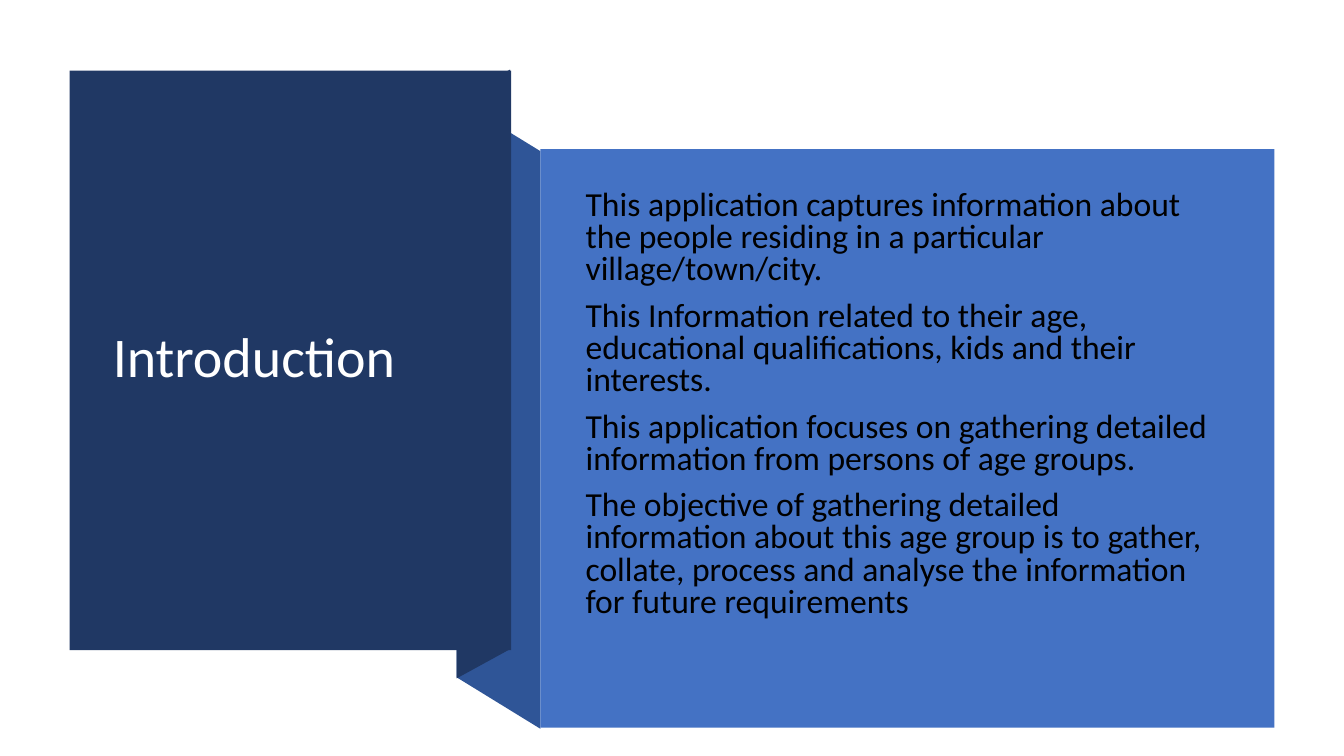
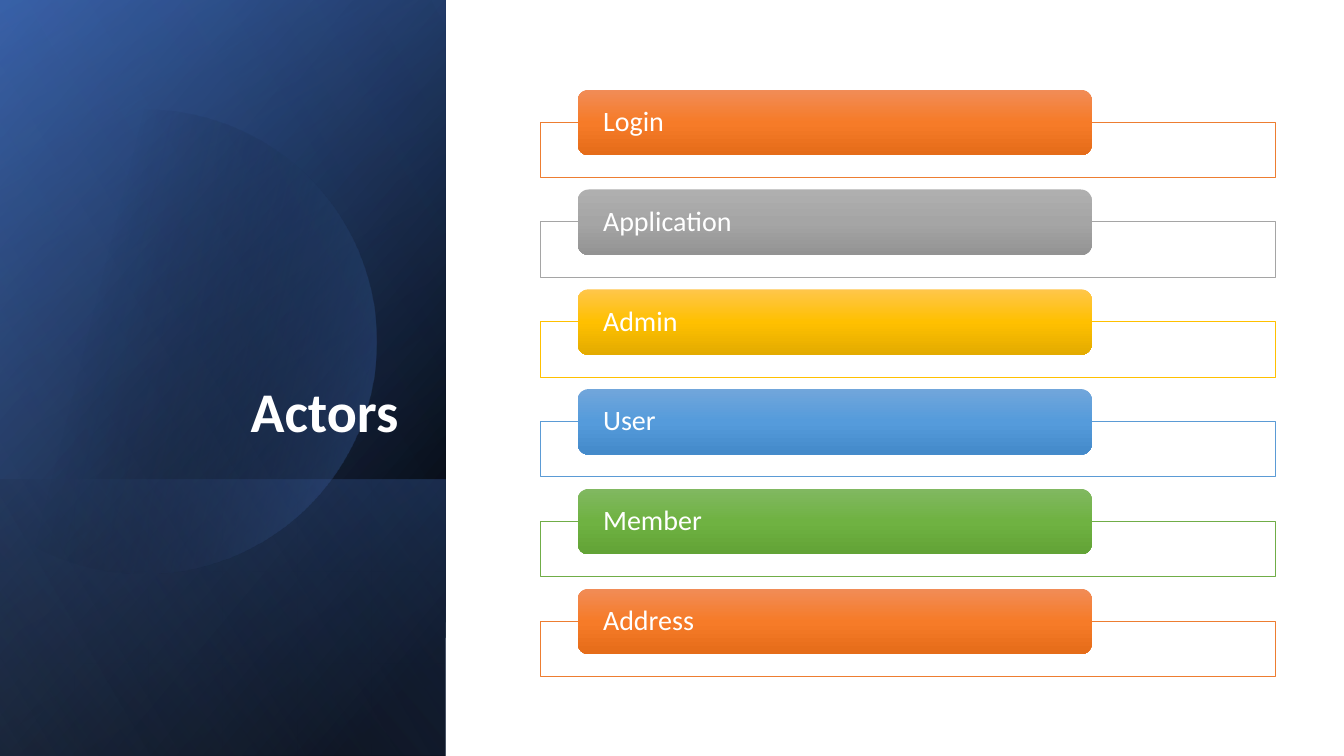
"""Build the Introduction and Actors slides."""
import math
from dataclasses import dataclass

import lxml.etree
import pptx
import pptx.dml.color
import pptx.enum.shapes
import pptx.enum.text
import pptx.oxml.ns
import pptx.util

Inches = pptx.util.Inches
Shape = pptx.enum.shapes.MSO_SHAPE
Align = pptx.enum.text.PP_ALIGN
Anchor = pptx.enum.text.MSO_ANCHOR
qn = pptx.oxml.ns.qn


@dataclass(frozen=True)
class Theme:
    """Colours, font and type sizes shared by the slides."""
    font: str = "Calibri"
    title_size: int = 40
    body_size: int = 24
    label_size: int = 20
    white: str = "FFFFFF"
    black: str = "000000"
    navy: str = "203864"
    deep_blue: str = "2F5597"
    blue: str = "4472C4"
    pale_blue: str = "8FAADC"
    orange: tuple = ("ED7D31", "F18C57", "F67B28", "E56C19")
    gray: tuple = ("A5A5A5", "AFAFAF", "A5A5A5", "939393")
    gold: tuple = ("FFC000", "FFC64B", "FFC000", "E3AB00")
    sky: tuple = ("5B9BD5", "71A6DB", "559BDB", "448ACA")
    green: tuple = ("70AD47", "81B861", "6FB242", "62A336")


THEME = Theme()
SLIDE_W, SLIDE_H = 13.33, 7.5
PANEL_W = 4.42

INTRODUCTION = (
    "This application captures information about the people residing in a particular village/town/city.",
    "This Information related to their age, educational qualifications, kids and their interests.",
    "This application focuses on gathering detailed information from persons of age groups.",
    "The objective of gathering detailed information about this age group is to gather, collate, "
    "process and analyse the information for future requirements",
)
ACTORS = (
    ("Login", THEME.orange),
    ("Application", THEME.gray),
    ("Admin", THEME.gold),
    ("User", THEME.sky),
    ("Member", THEME.green),
    ("Address", THEME.orange),
)


def rgb(color):
    """Return a colour object for a hex string."""
    return pptx.dml.color.RGBColor.from_string(color)


def fill_solid(shape, color, opacity=100):
    """Fill a shape with one colour at an opacity in percent."""
    shape.fill.solid()
    shape.fill.fore_color.rgb = rgb(color)
    if opacity < 100:
        color_node = shape._element.spPr.find(qn("a:solidFill"))[0]
        lxml.etree.SubElement(color_node, qn("a:alpha"), val=str(opacity * 1000))


def fill_gradient(shape, stops, angle):
    """Fill a shape with (position, colour, opacity) stops along a clockwise angle."""
    shape.fill.background()
    properties = shape._element.spPr
    gradient = lxml.etree.Element(qn("a:gradFill"), rotWithShape="1")
    stop_list = lxml.etree.SubElement(gradient, qn("a:gsLst"))
    for position, color, opacity in stops:
        stop = lxml.etree.SubElement(stop_list, qn("a:gs"), pos=str(position * 1000))
        color_node = lxml.etree.SubElement(stop, qn("a:srgbClr"), val=color)
        if opacity < 100:
            lxml.etree.SubElement(color_node, qn("a:alpha"), val=str(opacity * 1000))
    lxml.etree.SubElement(gradient, qn("a:lin"), ang=str(angle * 60000), scaled="0")
    properties.replace(properties.find(qn("a:noFill")), gradient)


def add_block(slide, box, kind=Shape.RECTANGLE):
    """Add a preset shape without line or shadow."""
    block = slide.shapes.add_shape(kind, *map(Inches, box))
    block.shadow.inherit = False
    block.line.fill.background()
    return block


def add_outline(slide, points):
    """Add a closed polygon without line or shadow."""
    corners = [(Inches(x), Inches(y)) for x, y in points]
    builder = slide.shapes.build_freeform(*corners[0], scale=1.0)
    builder.add_line_segments(corners[1:], close=True)
    outline = builder.convert_to_shape()
    outline.shadow.inherit = False
    outline.line.fill.background()
    return outline


def write_text(shape, *paragraphs, size, color=THEME.white, bold=False, align=Align.LEFT,
               anchor=Anchor.MIDDLE, spacing=0.9, before=0, insets=(0.1, 0.05)):
    """Write formatted paragraphs into a shape."""
    frame = shape.text_frame
    frame.word_wrap = True
    frame.vertical_anchor = anchor
    frame.margin_left = frame.margin_right = Inches(insets[0])
    frame.margin_top = frame.margin_bottom = Inches(insets[1])
    for index, text in enumerate(paragraphs):
        paragraph = frame.add_paragraph() if index else frame.paragraphs[0]
        paragraph.alignment = align
        paragraph.line_spacing = spacing
        paragraph.space_before = pptx.util.Pt(before)
        run = paragraph.add_run()
        run.text = text
        run.font.name = THEME.font
        run.font.size = pptx.util.Pt(size)
        run.font.bold = bold
        run.font.color.rgb = rgb(color)


def add_text(slide, box, *paragraphs, **text_format):
    """Add a text box with formatted paragraphs."""
    write_text(slide.shapes.add_textbox(*map(Inches, box)), *paragraphs, **text_format)


def add_title(slide, box, title, **text_format):
    """Add a slide title in the shared style."""
    add_text(slide, box, title, size=THEME.title_size, **text_format)


def add_panel_layer(slide, top, stops, angle):
    """Add a turned, mirrored gradient layer reaching from top to the slide's foot."""
    height = SLIDE_H - top
    shift = (PANEL_W - height) / 2
    layer = add_block(slide, (shift, top - shift, height, PANEL_W))
    layer.rotation = 90
    layer._element.spPr.find(qn("a:xfrm")).set("flipH", "1")
    fill_gradient(layer, stops, angle)


def add_glow(slide, center_x, center_y, radius):
    """Add a translucent disc cut off at the slide's left edge."""
    reach = math.acos(-center_x / radius)
    steps = 90
    angles = [reach * (2 * step / steps - 1) for step in range(steps + 1)]
    disc = add_outline(slide, [(center_x + radius * math.cos(angle),
                                center_y + radius * math.sin(angle)) for angle in angles])
    fill_gradient(disc, ((29, THEME.black, 0), (100, THEME.blue, 43)), 14)


def add_actor(slide, top, name, colors):
    """Add an outlined row with a rounded label on its upper edge."""
    line_color, *shades = colors
    row = add_block(slide, (5.36, top + 0.32, 7.29, 0.55))
    fill_solid(row, THEME.white, 90)
    row.line.color.rgb = rgb(line_color)
    row.line.width = pptx.util.Pt(0.5)
    label = add_block(slide, (5.73, top, 5.1, 0.65), Shape.ROUNDED_RECTANGLE)
    fill_gradient(label, [(50 * index, shade, 100) for index, shade in enumerate(shades)], 90)
    write_text(label, name, size=THEME.label_size, insets=(0.22, 0))


def build_introduction(slide):
    """Build the folded ribbon with the introduction text."""
    folds = (
        (THEME.deep_blue, ((5.36, 7.23), (4.53, 6.72), (4.53, 0.99), (5.36, 1.5))),
        (THEME.navy, ((5.06, 6.44), (4.53, 6.73), (4.53, 0.98), (5.06, 0.69))),
    )
    for color, points in folds:
        fill_solid(add_outline(slide, points), color)
    fill_solid(add_block(slide, (0.69, 0.7, 4.38, 5.75)), THEME.navy)
    add_title(slide, (1.02, 1.07, 3.71, 4.99), "Introduction")
    fill_solid(add_block(slide, (5.36, 1.48, 7.28, 5.74)), THEME.blue)
    add_text(slide, (5.71, 1.55, 6.51, 4.94), *INTRODUCTION, size=THEME.body_size,
             color=THEME.black, spacing=0.8, before=10)


def build_actors(slide):
    """Build the gradient panel and the list of actors."""
    add_panel_layer(slide, 0, ((8, THEME.black, 100), (100, THEME.deep_blue, 100)), 50)
    add_panel_layer(slide, 0, ((0, THEME.black, 0), (99, THEME.blue, 46)), 30)
    add_panel_layer(slide, 4.76, ((2, THEME.blue, 29), (100, THEME.black, 30)), 130)
    add_glow(slide, 1.43, 3.39, 2.3)
    add_panel_layer(slide, 0, ((0, THEME.black, 0), (99, THEME.pale_blue, 11)), 120)
    add_title(slide, (0.64, 1.84, 3.41, 2.62), "Actors", bold=True,
              align=Align.RIGHT, anchor=Anchor.BOTTOM)
    for index, (name, colors) in enumerate(ACTORS):
        add_actor(slide, 0.89 + 0.99 * index, name, colors)


def main():
    """Create and save the presentation."""
    deck = pptx.Presentation()
    deck.slide_width, deck.slide_height = Inches(SLIDE_W), Inches(SLIDE_H)
    for build in (build_introduction, build_actors):
        build(deck.slides.add_slide(deck.slide_layouts[6]))
    deck.save("out.pptx")


if __name__ == "__main__":
    main()
